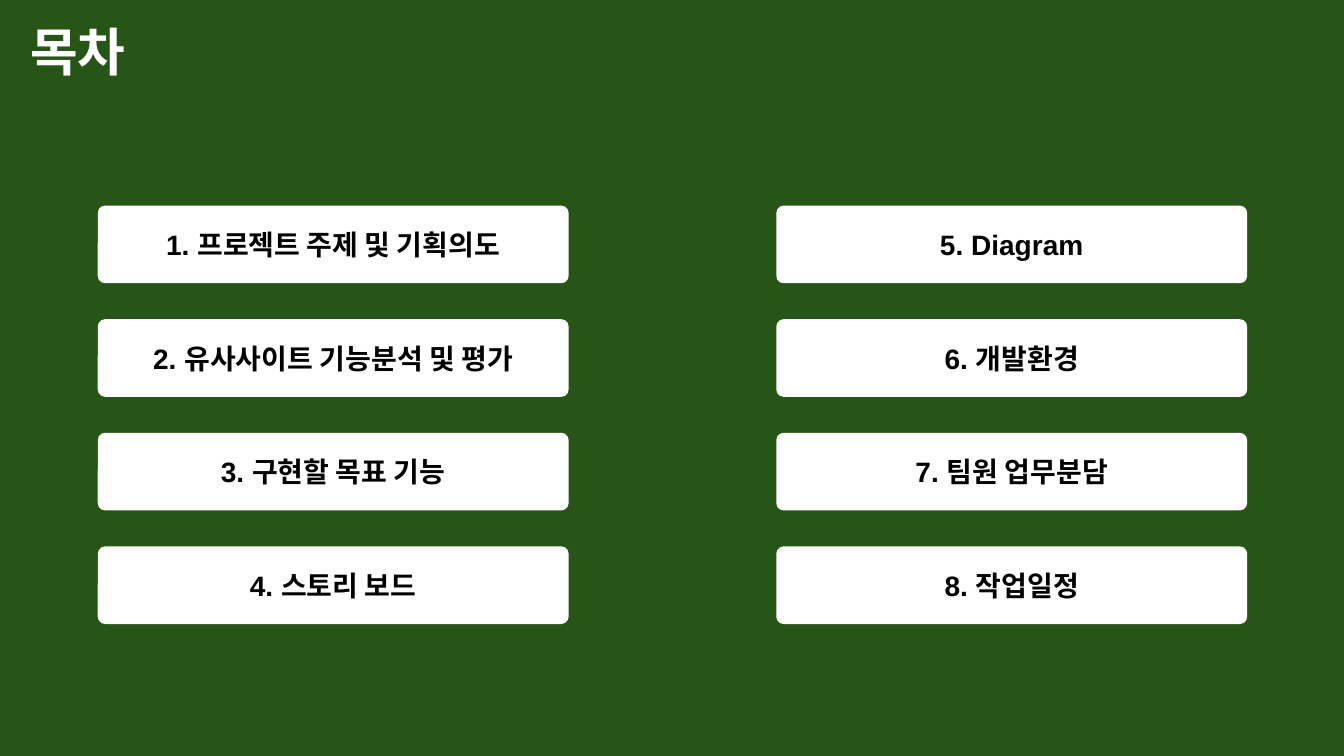
"""Build the contents slide: a title and two columns of numbered topics."""
import pptx
import pptx.util
import pptx.dml.color
import pptx.enum.shapes
import pptx.enum.text

TITLE = "목차"
COLUMNS = [
    ["1. 프로젝트 주제 및 기획의도", "2. 유사사이트 기능분석 및 평가",
     "3. 구현할 목표 기능", "4. 스토리 보드"],
    ["5. Diagram", "6. 개발환경", "7. 팀원 업무분담", "8. 작업일정"],
]
COLORS = {"green": "275417", "white": "FFFFFF", "black": "000000"}
FORMATS = {
    "title": {"size": pptx.util.Pt(37), "bold": True, "name": "Arial"},
    "topic": {"size": pptx.util.Pt(20), "bold": True, "name": "Arial"},
}
SLIDE_W, SLIDE_H = 13.33, 7.5
GRID = {"left": 0.97, "top": 2.04, "col": 6.73, "row": 1.127}
CARD_W, CARD_H, CORNER = 4.67, 0.77, 0.094
TITLE_BOX = (0.2, 0.15, 8.61, 0.74)

inch = pptx.util.Inches


def rgb(key):
    """Return the named colour."""
    return pptx.dml.color.RGBColor.from_string(COLORS[key])


def write(sp, text, style, color, align, anchor):
    """Fill a shape with one formatted paragraph."""
    tf = sp.text_frame
    tf.word_wrap = True
    tf.auto_size = pptx.enum.text.MSO_AUTO_SIZE.NONE
    tf.vertical_anchor = anchor
    p = tf.paragraphs[0]
    p.alignment = align
    r = p.add_run()
    r.text = text
    for key, value in FORMATS[style].items():
        setattr(r.font, key, value)
    r.font.color.rgb = rgb(color)


def add_card(s, text, col, row):
    """Add one topic card at a grid position."""
    x = GRID["left"] + col * GRID["col"]
    y = GRID["top"] + row * GRID["row"]
    sp = s.shapes.add_shape(pptx.enum.shapes.MSO_SHAPE.ROUNDED_RECTANGLE,
                            inch(x), inch(y), inch(CARD_W), inch(CARD_H))
    sp.adjustments[0] = CORNER
    sp.shadow.inherit = False
    sp.fill.solid()
    sp.fill.fore_color.rgb = rgb("white")
    sp.line.fill.background()
    write(sp, text, "topic", "black", pptx.enum.text.PP_ALIGN.CENTER,
          pptx.enum.text.MSO_ANCHOR.MIDDLE)


def main():
    """Create and save the presentation."""
    prs = pptx.Presentation()
    prs.slide_width, prs.slide_height = inch(SLIDE_W), inch(SLIDE_H)
    s = prs.slides.add_slide(prs.slide_layouts[5])
    s.background.fill.solid()
    s.background.fill.fore_color.rgb = rgb("green")

    title = s.shapes.title
    for key, value in zip(("left", "top", "width", "height"), TITLE_BOX):
        setattr(title, key, inch(value))
    write(title, TITLE, "title", "white", pptx.enum.text.PP_ALIGN.LEFT,
          pptx.enum.text.MSO_ANCHOR.TOP)

    for col, topics in enumerate(COLUMNS):
        for row, topic in enumerate(topics):
            add_card(s, topic, col, row)
    prs.save("out.pptx")


if __name__ == "__main__":
    main()
